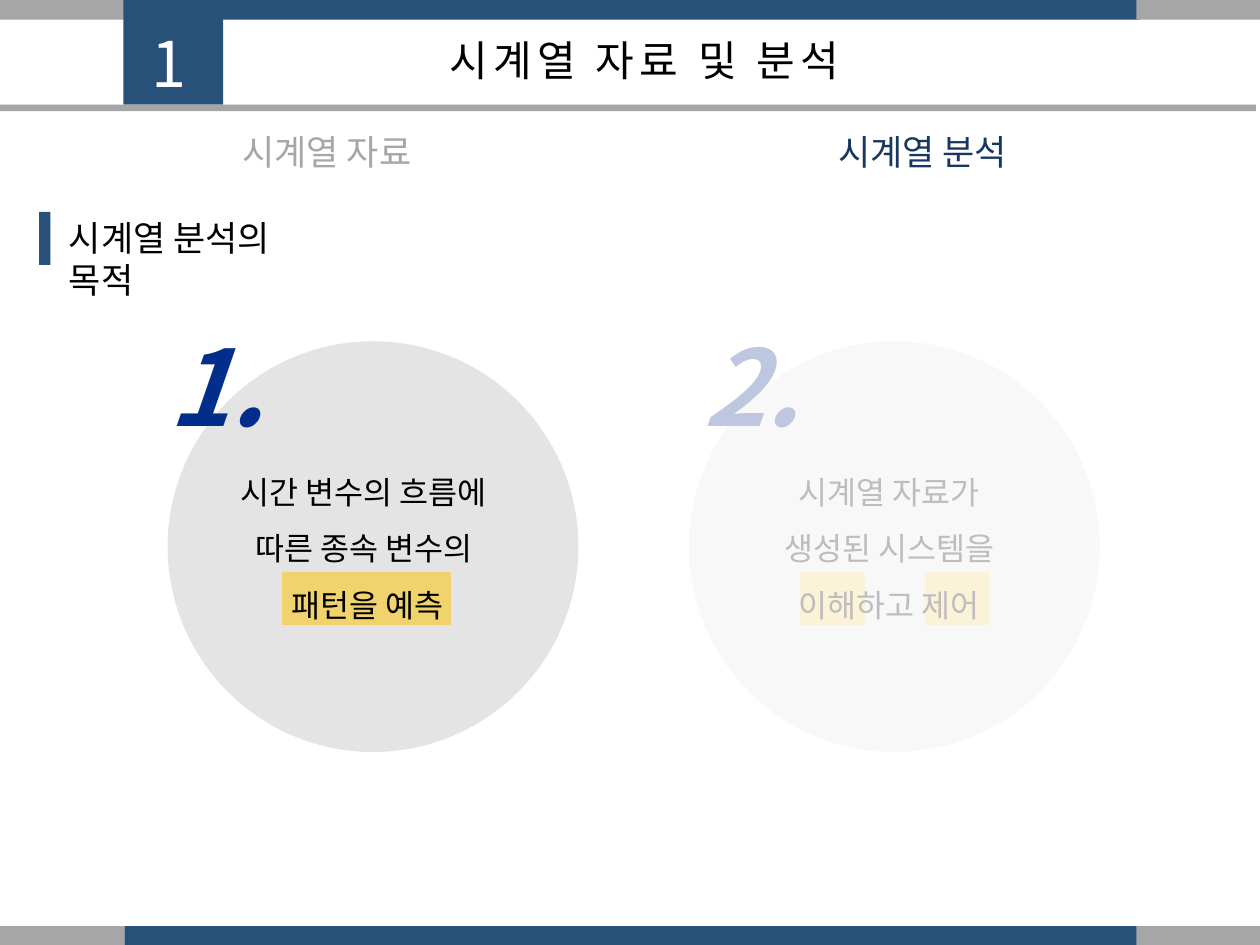
from lxml.etree import SubElement
from pptx import Presentation
from pptx.dml.color import RGBColor
from pptx.enum.shapes import MSO_SHAPE
from pptx.enum.text import PP_ALIGN
from pptx.oxml import parse_xml
from pptx.oxml.ns import nsdecls, qn
from pptx.util import Cm, Pt

FONT = "Noto Sans CJK KR"
COLORS = {
    "blue": "28517A",
    "navy": "17375E",
    "number": "002E8A",
    "grey": "A6A6A6",
    "yellow": "F0D36C",
    "white": "FFFFFF",
    "black": "000000",
}


def add_block(s, x, y, w, h, color, shape=MSO_SHAPE.RECTANGLE, opacity=None):
    """Add a borderless filled shape; opacity is a percentage."""
    sp = s.shapes.add_shape(shape, Cm(x), Cm(y), Cm(w), Cm(h))
    sp.shadow.inherit = False
    sp.fill.solid()
    sp.fill.fore_color.rgb = RGBColor.from_string(COLORS[color])
    sp.line.fill.background()
    if opacity is not None:
        clr = sp._element.spPr.find(qn("a:solidFill"))[0]
        SubElement(clr, qn("a:alpha")).set("val", str(opacity * 1000))


def add_text(s, x, y, w, h, lines, size, color="black", align=PP_ALIGN.CENTER,
             line_spacing=None, tracking=None, emphasis=False):
    """Add a text box, one paragraph a line; tracking is in points."""
    tf = s.shapes.add_textbox(Cm(x), Cm(y), Cm(w), Cm(h)).text_frame
    tf.word_wrap = True
    tf.text = "\n".join(lines)
    for p in tf.paragraphs:
        p.alignment = align
        p.line_spacing = line_spacing
        r = p.runs[0]
        r.font.size = Pt(size)
        r.font.name = FONT
        r.font.color.rgb = RGBColor.from_string(COLORS[color])
        rPr = r.font._element
        rPr.find(qn("a:latin")).addnext(
            parse_xml(f'<a:ea {nsdecls("a")} typeface="{FONT}"/>'))
        if tracking:
            rPr.set("spc", str(tracking * 100))
        if emphasis:
            r.font.bold = r.font.italic = True
            add_text_shadow(rPr)


def add_text_shadow(rPr):
    rPr.find(qn("a:solidFill")).addnext(parse_xml(
        f'<a:effectLst {nsdecls("a")}>'
        '<a:outerShdw blurRad="38100" dist="38100" dir="2700000" algn="tl">'
        '<a:srgbClr val="000000"><a:alpha val="43000"/></a:srgbClr>'
        '</a:outerShdw></a:effectLst>'))


def add_frame(s):
    for y in (0, 18.67):
        add_block(s, 2.51, y, 20.47, 0.4, "blue")
        add_block(s, 0, y, 2.51, 0.4, "grey")
        add_block(s, 22.91, y, 2.49, 0.4, "grey")


def add_header(s):
    add_block(s, 2.49, 0, 2.01, 2.11, "blue")
    add_text(s, 7.7, 0.58, 10.59, 1.27, ["시계열 자료 및 분석"], 24, tracking=3)
    add_block(s, -0.13, 2.11, 25.45, 0.13, "grey")
    add_text(s, 2.31, 0.36, 2.21, 1.8, ["1"], 36, "white", tracking=3)


def add_heading(s):
    add_block(s, 0.79, 4.27, 0.23, 1.07, "blue")
    add_text(s, 1.14, 4.24, 5.8, 1.12, ["시계열 분석의 목적"], 20,
             align=PP_ALIGN.LEFT)


def add_purpose(s, circle_x, number_x, text_x, number, lines, highlights):
    """Add a numbered circle; highlights are (left, width) pairs."""
    add_block(s, circle_x, 6.88, 8.28, 8.28, "grey", MSO_SHAPE.OVAL, 30)
    add_text(s, number_x, 6.35, 3.91, 2.82, [number], 60, "number",
             PP_ALIGN.LEFT, emphasis=True)
    for x, w in highlights:
        add_block(s, x, 11.53, w, 1.07, "yellow")
    add_text(s, text_x, 9.02, 6.63, 3.71, lines, 18, line_spacing=1.5)


def main():
    prs = Presentation()
    prs.slide_width, prs.slide_height = Cm(25.4), Cm(19.05)
    s = prs.slides.add_slide(prs.slide_layouts[6])

    add_frame(s)
    add_header(s)
    add_heading(s)
    add_purpose(s, 3.38, 3.15, 4.09, "1.",
                ["시간 변수의 흐름에 ", "따른 종속 변수의 ", "패턴을 예측"],
                [(5.69, 3.4)])
    add_purpose(s, 13.89, 13.94, 14.68, "2.",
                ["시계열 자료가 ", "생성된 시스템을 ", "이해하고 제어 "],
                [(16.13, 1.3), (18.64, 1.3)])
    # A translucent veil dims the second purpose.
    add_block(s, 12.7, 4.93, 11.43, 12.57, "white", opacity=74)
    for x, label, color in ((4.09, "시계열 자료", "grey"),
                            (16.1, "시계열 분석", "navy")):
        add_text(s, x, 2.51, 5, 1.12, [label], 20, color)

    prs.save("out.pptx")


if __name__ == "__main__":
    main()
